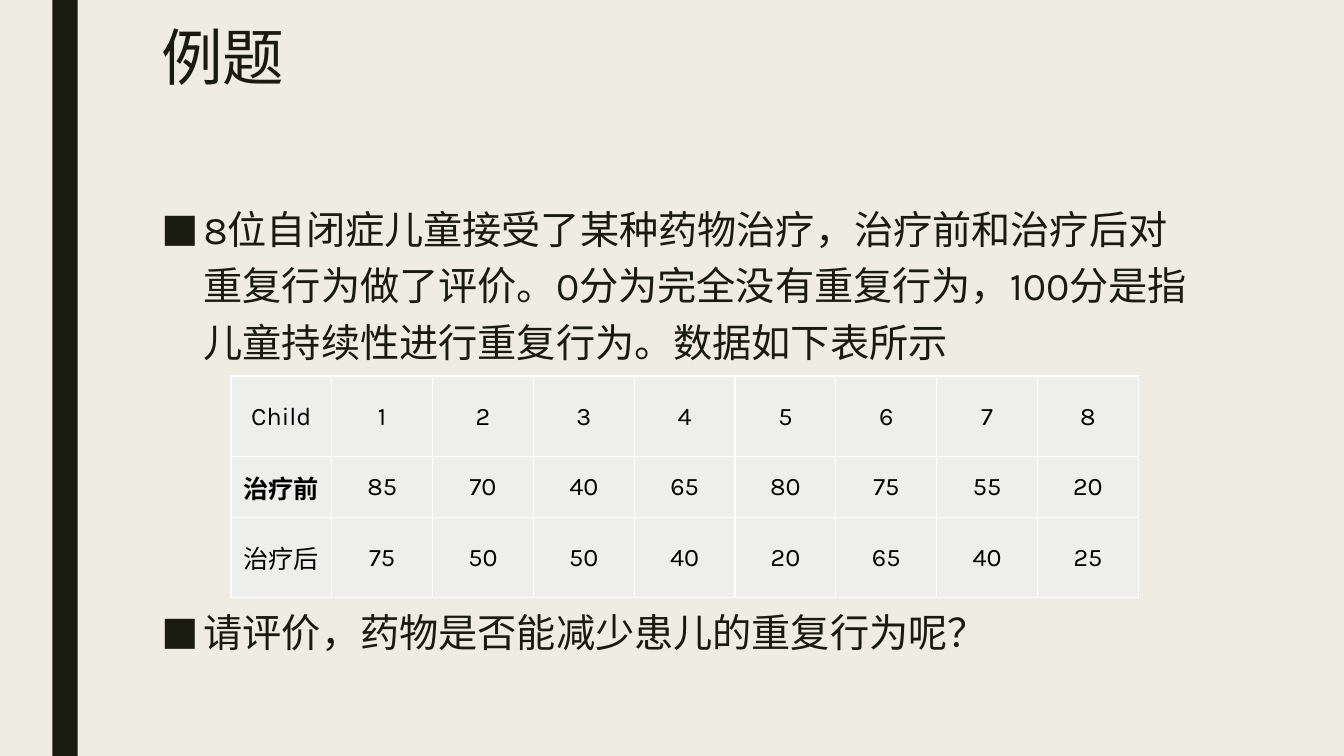
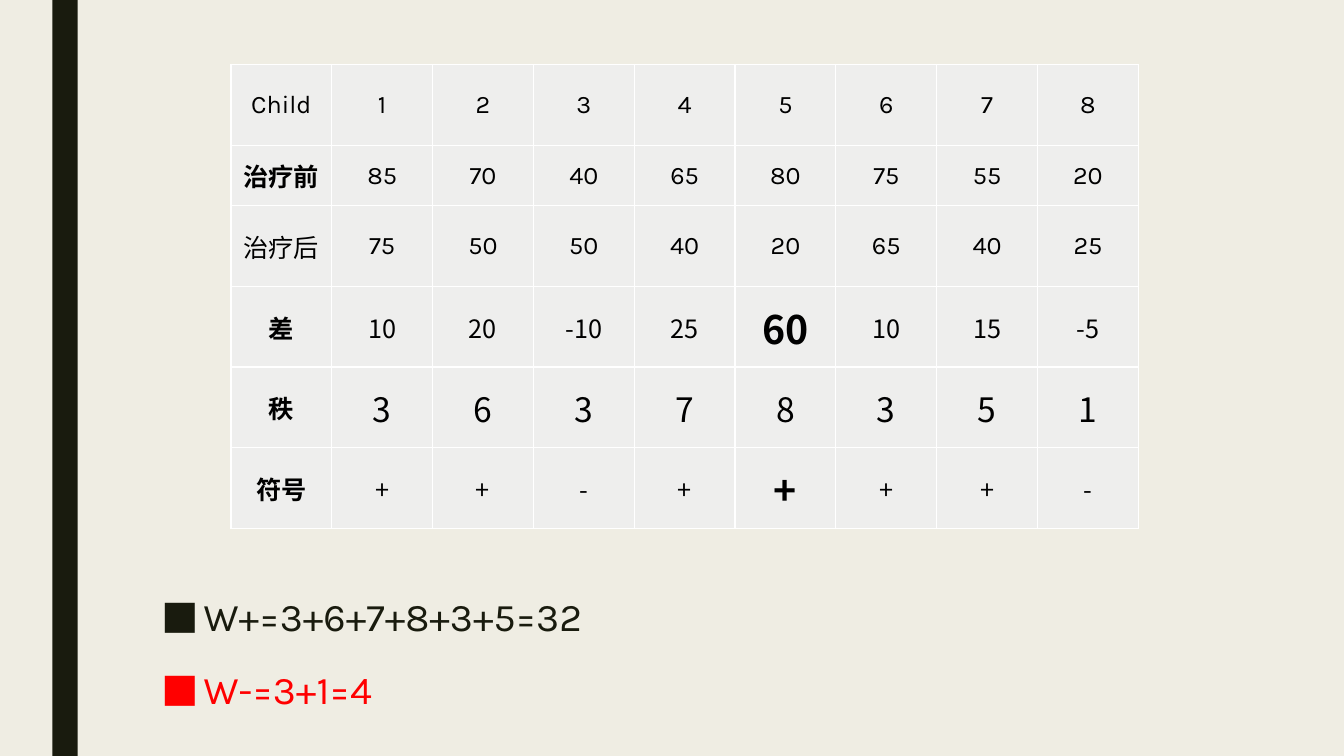
from dataclasses import dataclass

from lxml.etree import SubElement
from pptx import Presentation
from pptx.dml.color import RGBColor as RGB
from pptx.enum.shapes import MSO_SHAPE as Shape
from pptx.enum.text import MSO_ANCHOR as Anchor, MSO_AUTO_SIZE as AutoSize, PP_ALIGN as Align
from pptx.oxml.ns import qn
from pptx.util import Inches, Pt


@dataclass(frozen=True)
class Theme:
    paper: RGB = RGB(0xEF, 0xED, 0xE3)
    ink: RGB = RGB(0x19, 0x1B, 0x0E)
    accent: RGB = RGB(0xFF, 0x00, 0x00)
    cell: RGB = RGB(0xEE, 0xEE, 0xED)
    cell_text: RGB = RGB(0x00, 0x00, 0x00)
    border: str = "FFFFFF"
    latin: str = "Karla"
    chinese: str = "Noto Sans CJK SC"
    title_size: int = 44
    body_size: int = 28
    table_size: int = 18
    rank_size: int = 24


theme = Theme()


def style_text(paragraph, size, color, latin=theme.latin, bold=False):
    for run in paragraph.runs:
        run.font.size, run.font.bold, run.font.name = Pt(size), bold, latin
        run.font.color.rgb = color
        SubElement(run._r.get_or_add_rPr(), qn("a:ea"), typeface=theme.chinese)


def fill_list(body, top, height, items):
    """Each item is its text, colour and space before in points."""
    body.left, body.top = Inches(1.5), Inches(top)
    body.width, body.height = Inches(10.5), Inches(height)
    frame = body.text_frame
    frame.auto_size, frame.vertical_anchor = AutoSize.NONE, Anchor.TOP
    frame.text = "\n".join(text for text, _, _ in items)
    for paragraph, (_, color, space_before) in zip(frame.paragraphs, items):
        props = paragraph._p.get_or_add_pPr()
        props.set("marL", str(Inches(0.42)))
        props.set("indent", str(-Inches(0.42)))
        SubElement(props, qn("a:buFont"), typeface=theme.latin)
        SubElement(props, qn("a:buChar"), char="■")
        paragraph.line_spacing = 1.2
        paragraph.space_before, paragraph.space_after = Pt(space_before), Pt(2)
        style_text(paragraph, theme.body_size, color)


# Scores: the first slide shows the first three rows, the second shows all
scores = [
    ["Child", *range(1, 9)],
    ["治疗前", 85, 70, 40, 65, 80, 75, 55, 20],
    ["治疗后", 75, 50, 50, 40, 20, 65, 40, 25],
    ["差", 10, 20, -10, 25, 60, 10, 15, -5],
    ["秩", 3, 6, 3, 7, 8, 3, 5, 1],
    ["符号", *"++-++++-"],
]
row_heights = [0.8, 0.6, 0.8, 0.8, 0.8, 0.8]
bold_labels = {"治疗前", "差", "秩", "符号"}
calculated = {"差", "秩", "符号"}
largest_difference = {("差", 5), ("符号", 5)}

prs = Presentation()
prs.slide_width, prs.slide_height = Inches(13.33), Inches(7.5)
content_layout = prs.slide_layouts[1]
example = prs.slides.add_slide(content_layout)
ranking = prs.slides.add_slide(content_layout)

# Shared background and side band, kept on the master
master = prs.slide_master
master.background.fill.solid()
master.background.fill.fore_color.rgb = theme.paper
band = example.shapes.add_shape(
    Shape.RECTANGLE, Inches(0.52), 0, Inches(0.25), prs.slide_height)
band.shadow.inherit = False
band.fill.solid()
band.fill.fore_color.rgb = theme.ink
band.line.fill.background()
master.shapes.element.insert(2, band.element)

# Example: title and question
title = example.shapes.title
title.left, title.top = Inches(1.5), Inches(0.23)
title.width, title.height = Inches(10.5), Inches(1.62)
title.text_frame.text = "例题"
title.text_frame.auto_size = AutoSize.NONE
title.text_frame.vertical_anchor = Anchor.TOP
heading = title.text_frame.paragraphs[0]
heading.alignment, heading.line_spacing = Align.LEFT, 0.89
style_text(heading, theme.title_size, theme.ink)

fill_list(example.placeholders[1], 1.89, 5.32, [
    ("8位自闭症儿童接受了某种药物治疗，治疗前和治疗后对重复行为做了评价。"
     "0分为完全没有重复行为，100分是指儿童持续性进行重复行为。数据如下表所示", theme.ink, 0),
    ("请评价，药物是否能减少患儿的重复行为呢？", theme.ink, 165),
])

# Ranking: rank sums
ranking.shapes.title.element.getparent().remove(ranking.shapes.title.element)
fill_list(ranking.placeholders[1], 5.73, 1.77, [
    ("W+=3+6+7+8+3+5=32", theme.ink, 0),
    ("W-=3+1=4", theme.accent, 10),
])

# Score tables
for slide, top, row_count in [(example, 3.73, 3), (ranking, 0.64, 6)]:
    rows, heights = scores[:row_count], row_heights[:row_count]
    table = slide.shapes.add_table(
        row_count, 9, Inches(2.29), Inches(top), Inches(9), Inches(sum(heights))).table
    table.first_row = table.horz_banding = False
    for column in table.columns:
        column.width = Inches(1)
    for r, (values, height) in enumerate(zip(rows, heights)):
        table.rows[r].height = Inches(height)
        label = values[0]
        for c, value in enumerate(values):
            cell = table.cell(r, c)
            cell.vertical_anchor = Anchor.MIDDLE
            cell.margin_left = cell.margin_right = cell.margin_top = Inches(0.01)
            cell.margin_bottom = 0
            for side in ("lnL", "lnR", "lnT", "lnB"):
                edge = SubElement(cell._tc.get_or_add_tcPr(), qn(f"a:{side}"), w=str(Pt(1)))
                SubElement(SubElement(edge, qn("a:solidFill")), qn("a:srgbClr"), val=theme.border)
            cell.fill.solid()
            cell.fill.fore_color.rgb = theme.cell

            cell.text_frame.text = str(value)
            entry = cell.text_frame.paragraphs[0]
            entry.alignment = Align.CENTER
            is_largest = (label, c) in largest_difference
            is_bold_label = c == 0 and label in bold_labels
            size = theme.table_size
            if is_largest:
                size = theme.body_size
            elif label == "秩" and c > 0:
                size = theme.rank_size
            latin = theme.chinese if is_bold_label or label in calculated else theme.latin
            style_text(entry, size, theme.cell_text, latin, is_largest or is_bold_label)

prs.save("out.pptx")
